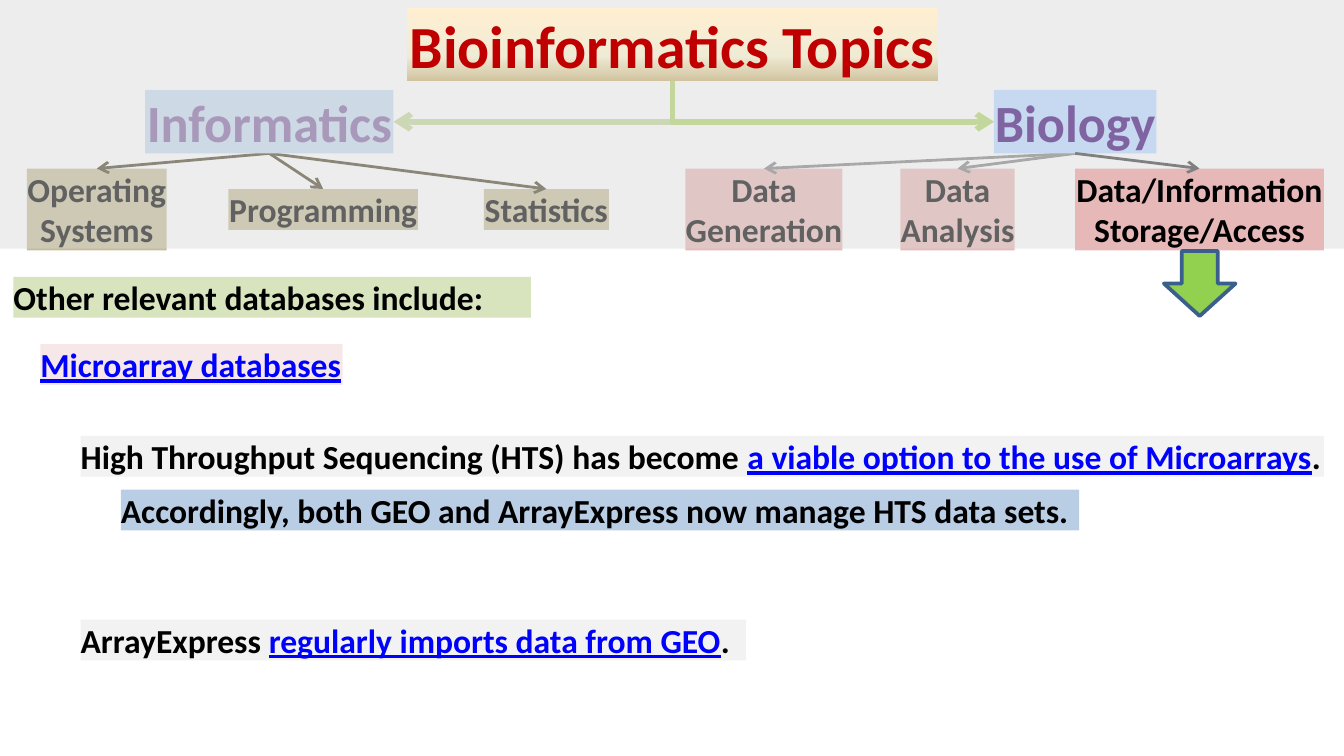
import copy
from collections import namedtuple

import lxml.etree
import pptx
import pptx.dml.color
import pptx.enum.dml
import pptx.enum.shapes
import pptx.enum.text
import pptx.oxml.ns
import pptx.util

Pt = pptx.util.Pt
RGBColor = pptx.dml.color.RGBColor
qn = pptx.oxml.ns.qn
Box = namedtuple("Box", "left top width height")

BLACK = RGBColor(0x00, 0x00, 0x00)
BLUE = RGBColor(0x00, 0x00, 0xFF)
RED = RGBColor(0xC0, 0x00, 0x00)
PURPLE = RGBColor(0x80, 0x64, 0xA2)
PALE_BLUE = RGBColor(0xC6, 0xD9, 0xF1)
STEEL_BLUE = RGBColor(0xB9, 0xCD, 0xE5)
TAN = RGBColor(0xC4, 0xBD, 0x97)
BROWN = RGBColor(0x4A, 0x45, 0x2A)
PINK = RGBColor(0xE6, 0xB9, 0xB8)
ROSE = RGBColor(0xD9, 0x96, 0x94)
GRAY = RGBColor(0x80, 0x80, 0x80)
VEIL_GRAY = RGBColor(0xD9, 0xD9, 0xD9)
LIGHT_GRAY = RGBColor(0xF2, 0xF2, 0xF2)
PALE_GREEN = RGBColor(0xD7, 0xE4, 0xBD)
SOFT_GREEN = RGBColor(0xC3, 0xD6, 0x9B)
BRIGHT_GREEN = RGBColor(0x92, 0xD0, 0x50)
NAVY = RGBColor(0x3A, 0x5F, 0x8C)
TITLE_STOPS = [
    (0, RGBColor(0xFF, 0xEF, 0xD1)),
    (0.65, RGBColor(0xF0, 0xEB, 0xD5)),
    (1, RGBColor(0xD1, 0xC3, 0x9F)),
]

TITLE_BOX = Box(218, 4.5, 284.5, 39)
INFORMATICS_BOX = Box(77.8, 48.2, 133, 34)
BIOLOGY_BOX = Box(532.5, 48.2, 87, 34)
TOPICS_BOX = Box(0, 0, 720, 133.2)
DATABASES_BOX = Box(7.2, 148.3, 702, 205.5)
LINE_HEIGHT = 21.9
LEAF_CENTER = 112.2


def points(box):
    return [Pt(length) for length in box]


def set_alpha(shape, percent):
    color = shape.element.spPr.find(qn("a:solidFill"))[0]
    lxml.etree.SubElement(color, qn("a:alpha"), val=str(percent * 1000))


def format_text(shape, size, color, alignment, wrap):
    frame = shape.text_frame
    frame.margin_left = frame.margin_right = frame.margin_top = frame.margin_bottom = 0
    frame.auto_size = pptx.enum.text.MSO_AUTO_SIZE.NONE
    frame.vertical_anchor = pptx.enum.text.MSO_ANCHOR.TOP
    frame.word_wrap = wrap
    for paragraph in frame.paragraphs:
        paragraph.alignment = alignment
        for run in paragraph.runs:
            run.font.name = "Calibri"
            run.font.size = Pt(size)
            run.font.bold = True
            run.font.color.rgb = color


def add_label(slide, box, text, fill, size=18, color=BLACK):
    label = slide.shapes.add_textbox(*points(box))
    label.fill.solid()
    label.fill.fore_color.rgb = fill
    label.text_frame.text = text
    format_text(label, size, color, pptx.enum.text.PP_ALIGN.CENTER, False)


def format_arrow(connector, color, width):
    connector.line.color.rgb = color
    connector.line.width = Pt(width)
    properties = connector.element.spPr
    lxml.etree.SubElement(properties.find(qn("a:ln")), qn("a:tailEnd"), type="arrow")
    lxml.etree.SubElement(properties, qn("a:effectLst"))


def add_leaf(slide, parent, left, width, text, fill, arrow_color):
    height = LINE_HEIGHT * len(text.split("\n"))
    box = Box(left, LEAF_CENTER - height / 2, width, height)
    add_label(slide, box, text, fill)
    arrow = slide.shapes.add_connector(
        pptx.enum.shapes.MSO_CONNECTOR.STRAIGHT,
        Pt(parent.left + parent.width / 2), Pt(parent.top + parent.height),
        Pt(left + width / 2), Pt(box.top))
    format_arrow(arrow, arrow_color, 1.5)


def add_branch(slide, parent, child):
    start_x, start_y = parent.left + parent.width / 2, parent.top + parent.height
    end_y = child.top + child.height / 2
    leftward = child.left < start_x
    end_x = child.left + child.width if leftward else child.left
    drop, reach = end_y - start_y, abs(end_x - start_x)
    left = (start_x + end_x - drop) / 2
    top = (start_y + end_y - reach) / 2
    begin, end = (left, left + drop) if leftward else (left + drop, left)
    connector = slide.shapes.add_connector(
        pptx.enum.shapes.MSO_CONNECTOR.ELBOW, Pt(begin), Pt(top), Pt(end), Pt(top + reach))
    properties = connector.element.spPr
    properties.find(qn("a:prstGeom")).set("prst", "bentConnector2")
    properties.find(qn("a:xfrm")).set("rot", str((90 if leftward else 270) * 60000))
    format_arrow(connector, SOFT_GREEN, 3)


def place_title(slide, box):
    title = slide.shapes.title
    title.left, title.top, title.width, title.height = points(box)
    title.text_frame.text = "Bioinformatics Topics"
    format_text(title, 32, RED, pptx.enum.text.PP_ALIGN.CENTER, False)
    title.fill.gradient()
    title.fill.gradient_angle = 270
    stop_list = title.element.spPr.find(".//" + qn("a:gsLst"))
    stop_list.append(copy.deepcopy(stop_list[0]))
    for stop, (position, color) in zip(title.fill.gradient_stops, TITLE_STOPS):
        stop.position = position
        stop.color.rgb = color
    title.element.getparent().append(title.element)


def add_veil(slide, box):
    veil = slide.shapes.add_shape(pptx.enum.shapes.MSO_SHAPE.RECTANGLE, *points(box))
    veil.shadow.inherit = False
    veil.fill.solid()
    veil.fill.fore_color.rgb = VEIL_GRAY
    veil.line.fill.background()
    set_alpha(veil, 45)


def add_down_arrow(slide, box):
    arrow = slide.shapes.add_shape(pptx.enum.shapes.MSO_SHAPE.DOWN_ARROW, *points(box))
    arrow.shadow.inherit = False
    arrow.fill.solid()
    arrow.fill.fore_color.rgb = BRIGHT_GREEN
    arrow.line.color.rgb = NAVY
    arrow.line.width = Pt(2)


def add_topics(slide, box):
    for left, width, text in [
        (482.4, 61.2, "Data\nAnalysis"),
        (367.2, 84.2, "Data\nGeneration"),
    ]:
        add_leaf(slide, BIOLOGY_BOX, box.left + left, width, text, PINK, GRAY)
    for left, width, text in [
        (259.2, 67, "Statistics"),
        (122.4, 101.5, "Programming"),
        (14.4, 74.9, "Operating\nSystems"),
    ]:
        add_leaf(slide, INFORMATICS_BOX, box.left + left, width, text, TAN, BROWN)
    add_label(slide, INFORMATICS_BOX, "Informatics", PALE_BLUE, 28, PURPLE)
    add_branch(slide, TITLE_BOX, INFORMATICS_BOX)
    add_veil(slide, box)
    place_title(slide, TITLE_BOX)
    add_label(slide, BIOLOGY_BOX, "Biology", PALE_BLUE, 28, PURPLE)
    add_branch(slide, TITLE_BOX, BIOLOGY_BOX)
    add_leaf(slide, BIOLOGY_BOX, box.left + 576, 133.2, "Data/Information\nStorage/Access", PINK, GRAY)
    add_down_arrow(slide, Box(box.left + 623.5, box.top + 134.5, 38.4, 34.8))


def add_statement(slide, box, fill, parts):
    statement = slide.shapes.add_textbox(*points(box))
    statement.fill.solid()
    statement.fill.fore_color.rgb = fill
    paragraph = statement.text_frame.paragraphs[0]
    for text, linked in parts:
        paragraph.add_run().text = text
    format_text(statement, 18, BLACK, pptx.enum.text.PP_ALIGN.LEFT, True)
    for run, (text, linked) in zip(paragraph.runs, parts):
        if linked:
            run.font.color.rgb = BLUE
            run.font.underline = True
    return statement


def add_databases(slide, box):
    for left, top, width, fill, parts in [
        (0, 0, 277.2, PALE_GREEN, [("Other relevant databases include:", False)]),
        (14.4, 36, 162, ROSE, [("Microarray databases", True)]),
        (36, 85.2, 666, LIGHT_GRAY, [
            ("High Throughput Sequencing (HTS) has become ", False),
            ("a viable option to the use of Microarrays", True), (".", False)]),
        (57.6, 114, 513.4, STEEL_BLUE, [
            ("Accordingly, both GEO and ArrayExpress now manage HTS data sets.", False)]),
        (36, 183.6, 356.4, LIGHT_GRAY, [
            ("ArrayExpress ", False), ("regularly imports data from GEO", True), (".", False)]),
    ]:
        line_box = Box(box.left + left, box.top + top, width, LINE_HEIGHT)
        statement = add_statement(slide, line_box, fill, parts)
        if fill == ROSE:
            set_alpha(statement, 21)


def main():
    presentation = pptx.Presentation()
    presentation.slide_width, presentation.slide_height = Pt(720), Pt(405)
    slide = presentation.slides.add_slide(presentation.slide_layouts[5])
    add_topics(slide, TOPICS_BOX)
    add_databases(slide, DATABASES_BOX)
    presentation.save("out.pptx")


if __name__ == "__main__":
    main()
